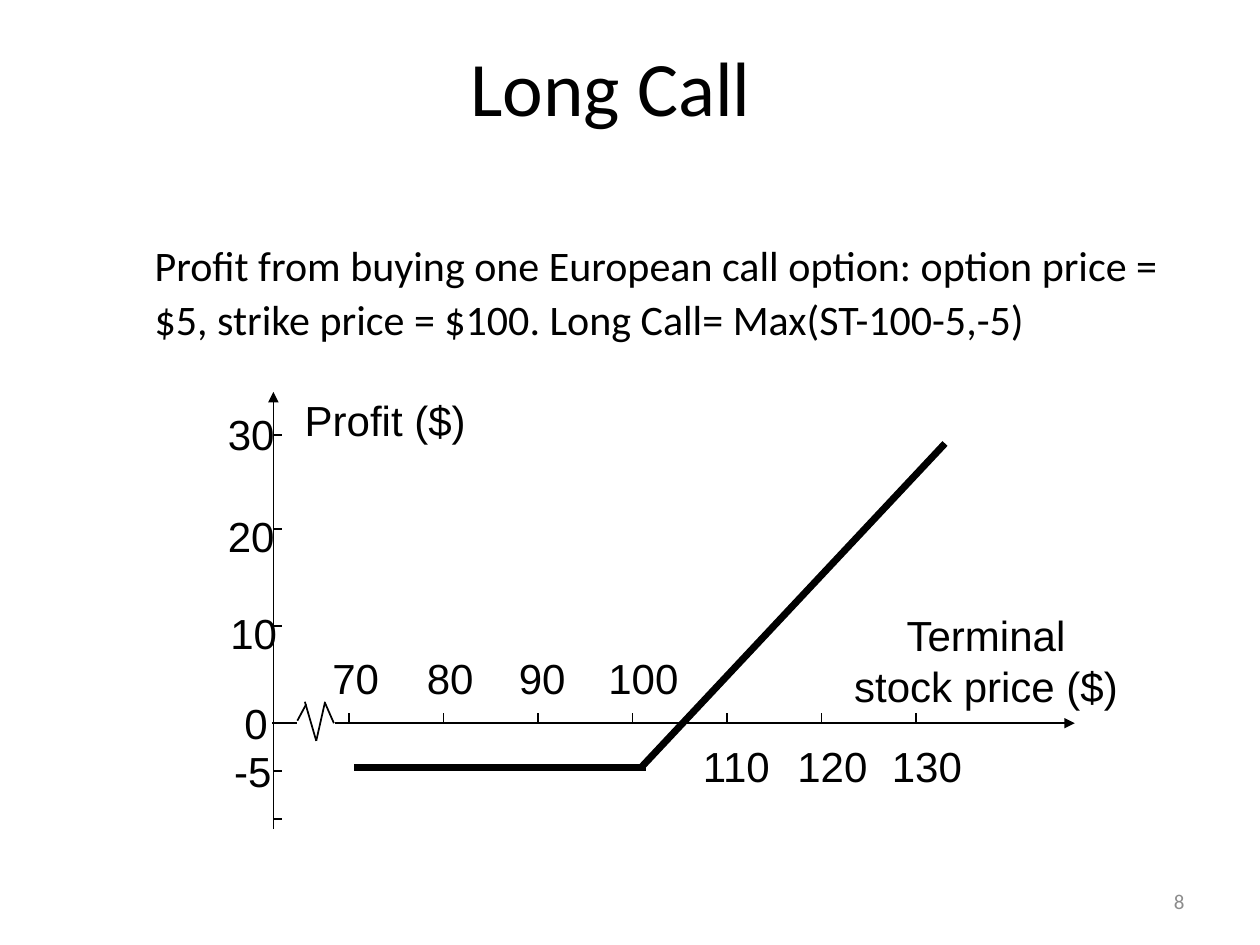
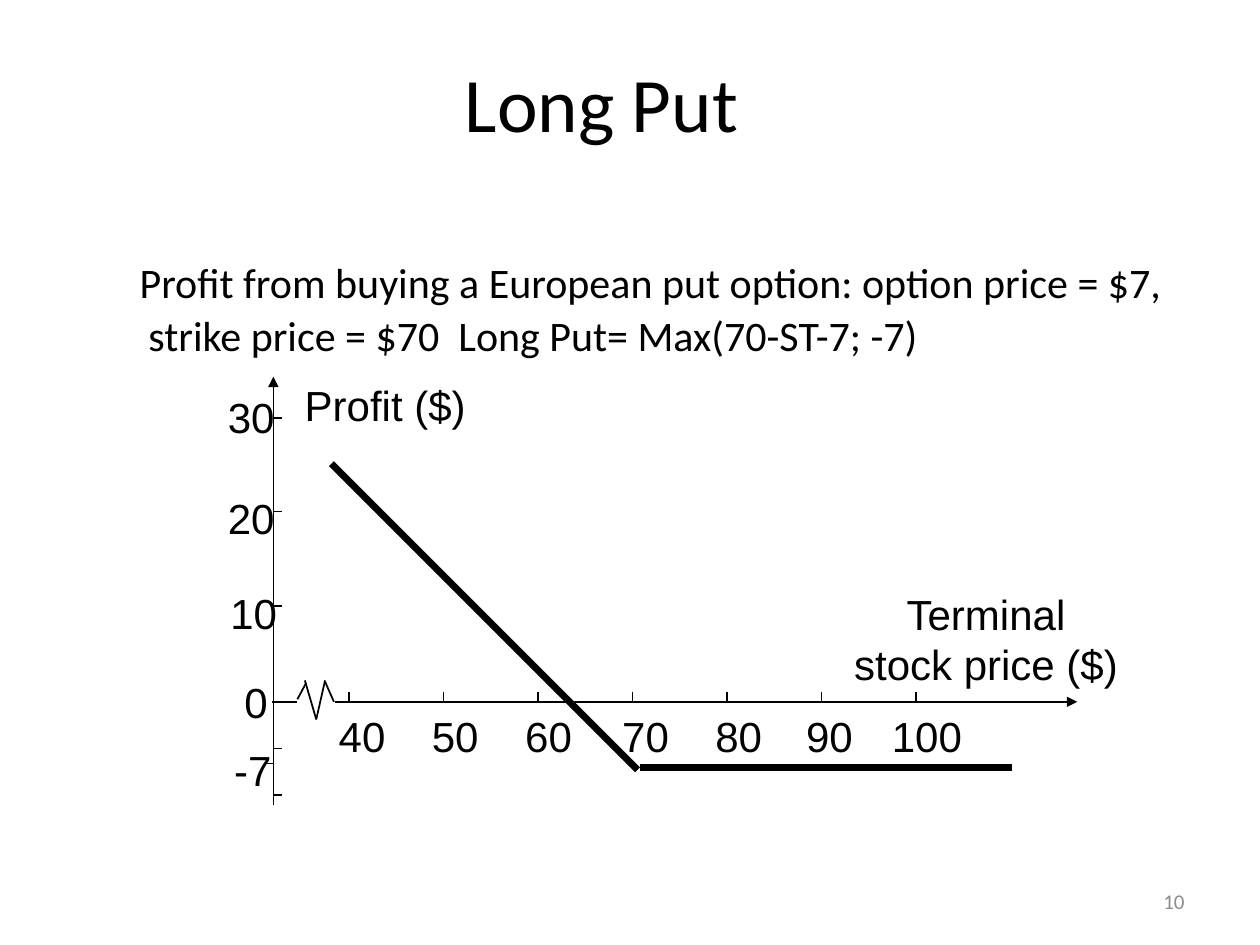
from lxml.etree import SubElement
from pptx import Presentation
from pptx.dml.color import RGBColor as RGB
from pptx.enum.shapes import MSO_CONNECTOR as LINK
from pptx.enum.text import MSO_ANCHOR as ANCHOR, PP_ALIGN as ALIGN
from pptx.oxml.ns import qn
from pptx.util import Pt

PX = 9144  # 100 px to the inch
INK = {"black": "000000", "grey": "8C8C8C"}
HEAD, PLOT = "Calibri", "Arial"
AXIS, FIRST, GAP = 217, 277, 75  # y axis, first x tick, tick spacing
WIDE = {"0": 38, "-5": 52, "-7": 52}  # labels that are not plain numbers
# Break in the x axis: x and height relative to the zero line
BREAK = [(216, 0, 236, 0), (236, -2, 243, -15), (242, -17, 251, 14),
         (251, 14, 258, -17), (258, -16, 265, 0)]

CALL = {
    "title": "Long Call", "head": (43, 31),
    "note": "Profit from buying one European call option: option price = $5, "
            "strike price = $100. Long Call= Max(ST-100-5,-5)",
    "body": (75, 175, 894, 450), "indent": 0,
    "top": 311, "foot": 658, "zero": 574, "end": 853,
    "ticks": [345, 420, 497, 612, 650], "left": [],
    "rows": [("30", 171, 319), ("20", 171, 400), ("10", 173, 477),
             ("0", 184, 549), ("-5", 176, 587)],
    "cols": [("70", 254, 513), ("80", 329, 513), ("90", 402, 513),
             ("100", 473, 513), ("110", 548, 583), ("120", 623, 583),
             ("130", 698, 583)],
    "payoff": [(281, 609, 513, 609), (508, 610, 750, 352)],
    "page": "8",
}
PUT = {
    "title": "Long Put", "head": (36, 44),
    "note": "Profit from buying a European put option: option price = $7, "
            "strike price = $70  Long Put= Max(70-ST-7; -7)",
    "body": (70, 188, 890, 450), "indent": -7,
    "top": 299, "foot": 639, "zero": 557, "end": 855,
    "ticks": [332, 406, 481, 594, 631], "left": [606],
    "rows": [("30", 171, 306), ("20", 171, 386), ("10", 173, 461),
             ("0", 184, 532), ("-7", 176, 586)],
    "cols": [("40", 259, 559), ("50", 333, 559), ("60", 407, 559),
             ("70", 484, 559), ("80", 558, 559), ("90", 630, 559),
             ("100", 698, 559)],
    "payoff": [(508, 609, 803, 609), (506, 611, 263, 368)],
    "page": "10",
}


def line(slide, ends, width=1, arrow=False):
    link = slide.shapes.add_connector(LINK.STRAIGHT, *[n * PX for n in ends])
    link.line.color.rgb = RGB.from_string(INK["black"])
    link.line.width = Pt(width)
    if arrow:
        SubElement(link.line._ln, qn("a:tailEnd"), type="triangle")
    SubElement(link._element.spPr, qn("a:effectLst"))


def write(slide, box, lines, size=24, font=PLOT, ink="black",
          align=ALIGN.LEFT, anchor=ANCHOR.TOP, wrap=False):
    frame = slide.shapes.add_textbox(*[n * PX for n in box]).text_frame
    frame.word_wrap = wrap
    frame.vertical_anchor = anchor
    for i, words in enumerate(lines):
        para = frame.add_paragraph() if i else frame.paragraphs[0]
        para.alignment = align
        run = para.add_run()
        run.text = words
        run.font.size = Pt(size)
        run.font.name = font
        run.font.color.rgb = RGB.from_string(INK[ink])
    return frame


deck = Presentation()
deck.slide_width, deck.slide_height = 1000 * PX, 750 * PX

for plot in (CALL, PUT):
    slide = deck.slides.add_slide(deck.slide_layouts[6])
    zero, top = plot["zero"], plot["top"]

    head = write(slide, (*plot["head"], 883, 75), [plot["title"]], 44, HEAD,
                 align=ALIGN.CENTER, wrap=True)
    head.margin_top = head.margin_bottom = 0

    note = write(slide, plot["body"], [plot["note"]], font=HEAD, wrap=True)
    note.margin_top = 13 * PX
    para = note.paragraphs[0]
    para.line_spacing = Pt(30.5)
    props = para._p.get_or_add_pPr()
    props.set("marL", str(38 * PX))
    props.set("indent", str(plot["indent"] * PX))

    # Axes, with the break near the origin
    line(slide, (AXIS, plot["foot"], AXIS, top), arrow=True)
    line(slide, (266, zero, plot["end"], zero), arrow=True)
    for x1, y1, x2, y2 in BREAK:
        line(slide, (x1, zero + y1, x2, zero + y2))

    # Ticks
    for y in plot["ticks"]:
        line(slide, (AXIS, y, AXIS + 7, y))
    for y in plot["left"]:
        line(slide, (AXIS - 7, y, AXIS, y))
    for i in range(len(plot["cols"])):
        x = FIRST + i * GAP
        line(slide, (x, zero - 8, x, zero - 1))

    for ends in plot["payoff"]:
        line(slide, ends, width=4)

    # Labels
    for label, x, y in plot["rows"] + plot["cols"]:
        width = WIDE.get(label, 76 if len(label) == 3 else 57)
        write(slide, (x, y, width, 50), [label])
    write(slide, (232, top - 3, 148, 50), ["Profit ($)"])
    write(slide, (668, zero - 95, 229, 90), ["Terminal", "stock price ($)"],
          align=ALIGN.CENTER)
    write(slide, (717, 695, 233, 40), [plot["page"]], 12, HEAD, "grey",
          ALIGN.RIGHT, ANCHOR.MIDDLE, True)

deck.save("out.pptx")
